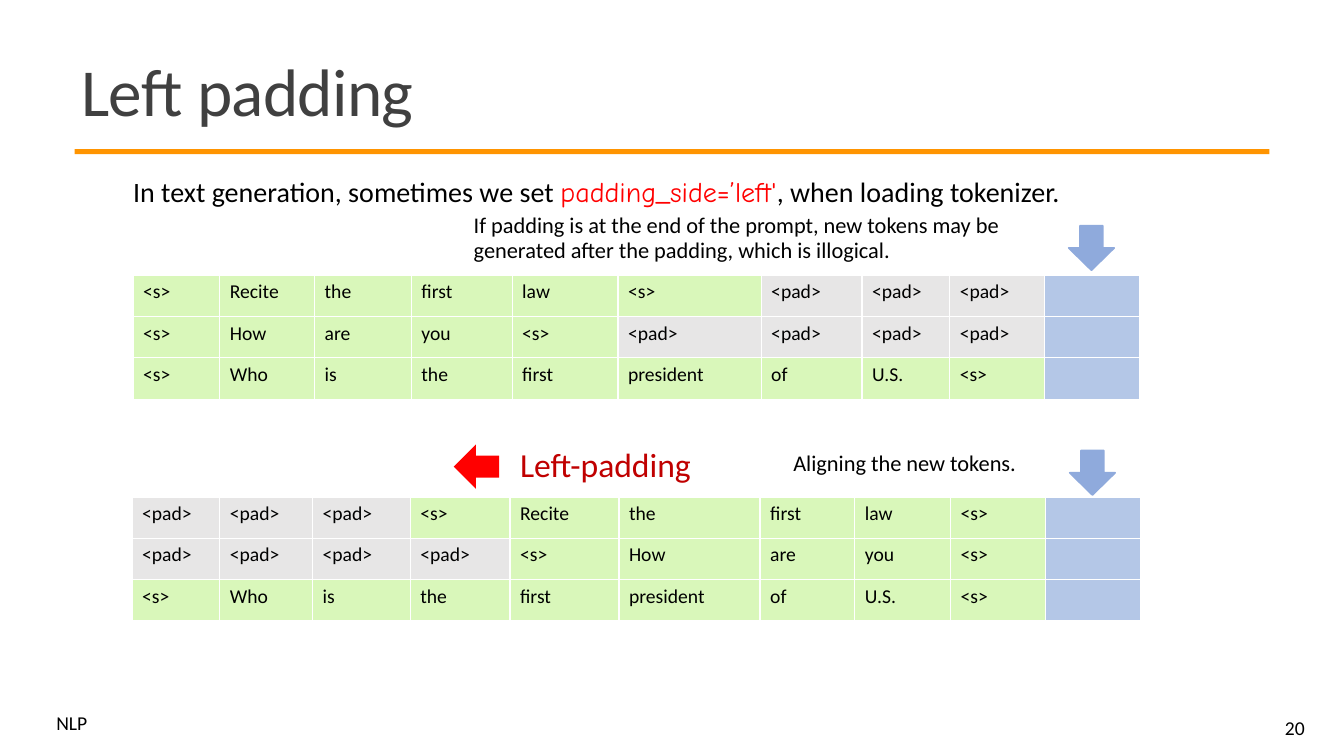
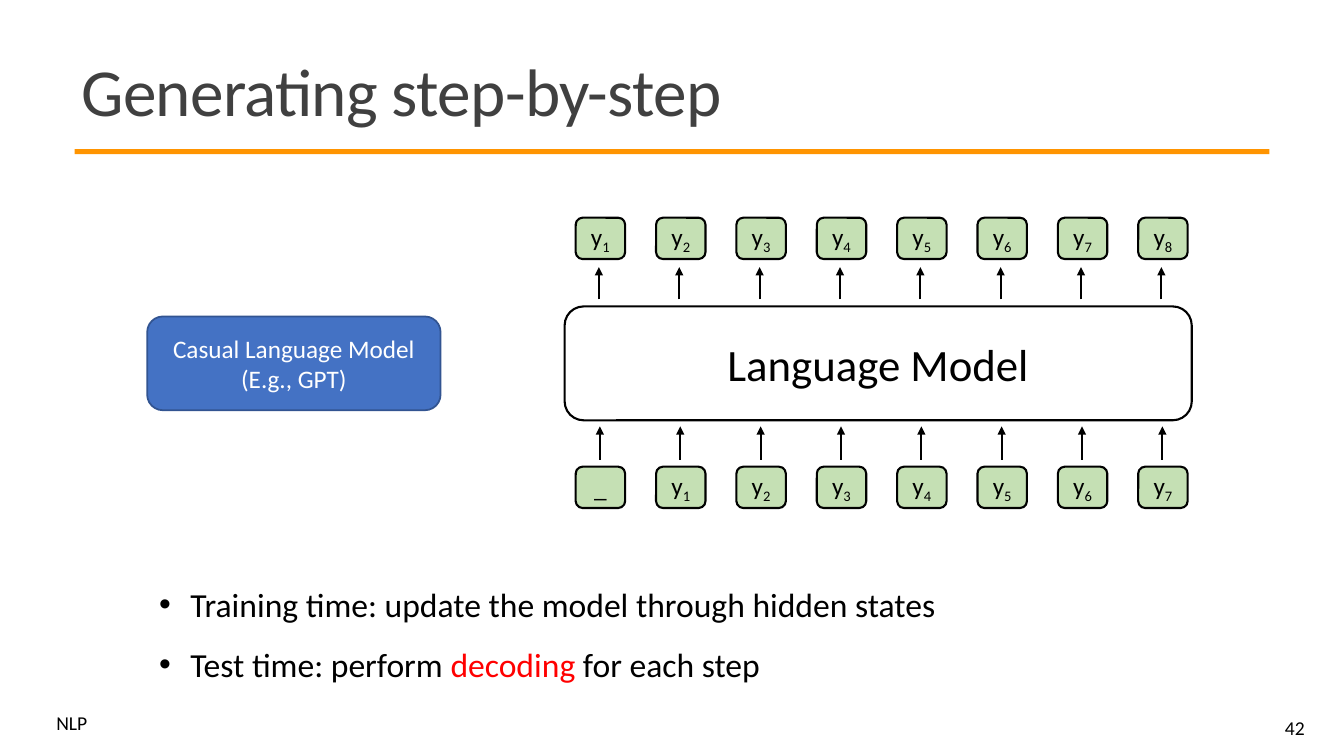
from lxml.etree import SubElement as Sub
from pptx import Presentation
from pptx.dml.color import RGBColor as RGB
from pptx.enum.shapes import MSO_CONNECTOR as Link, MSO_SHAPE as Form
from pptx.enum.text import MSO_ANCHOR as Anchor, PP_ALIGN as Align
from pptx.oxml.ns import qn
from pptx.util import Inches, Pt

BLACK = RGB(0x00, 0x00, 0x00)
WHITE = RGB(0xFF, 0xFF, 0xFF)
GREY = RGB(0x40, 0x40, 0x40)
ORANGE = RGB(0xFF, 0x94, 0x00)
RED = RGB(0xFF, 0x00, 0x00)
CRIMSON = RGB(0xC0, 0x00, 0x00)
LIME = RGB(0xD9, 0xF7, 0xBA)
SILVER = RGB(0xE7, 0xE6, 0xE6)
SKY = RGB(0xB4, 0xC7, 0xE7)
STEEL = RGB(0x8F, 0xAA, 0xDC)
BLUE = RGB(0x44, 0x72, 0xC4)
NAVY = RGB(0x32, 0x54, 0x91)
GREEN = RGB(0xC5, 0xE0, 0xB4)
FACE = "Calibri"


def draw(slide, form, box, fill=None, line=None, width=1.25):
    shape = slide.shapes.add_shape(form, *map(Inches, box))
    shape.shadow.inherit = False
    if fill is None:
        shape.fill.background()
    else:
        shape.fill.solid()
        shape.fill.fore_color.rgb = fill
    if line is None:
        shape.line.fill.background()
    else:
        shape.line.color.rgb = line
        shape.line.width = Pt(width)
    return shape


def write(slide, box, text, size, color=BLACK, space=0.9, inset=0.1):
    frame = slide.shapes.add_textbox(*map(Inches, box)).text_frame
    frame.word_wrap = True
    frame.margin_left = frame.margin_right = Inches(inset)
    para = frame.paragraphs[0]
    para.text = text
    para.line_spacing = space
    para.font.name = FACE
    para.font.size = Pt(size)
    para.font.color.rgb = color
    return frame


deck = Presentation()
deck.slide_width = Inches(13.33)
deck.slide_height = Inches(7.5)

slides = []
for title, page in [("Left padding", "20"), ("Generating step-by-step", "42")]:
    slide = deck.slides.add_slide(deck.slide_layouts[6])
    draw(slide, Form.RECTANGLE, (0.74, 1.48, 11.85, 0.05), ORANGE)
    write(slide, (0.46, 7.05, 0.61, 0.29), "NLP", 14, space=0.8)
    head = write(slide, (0.71, 0.39, 11.94, 1.13), title, 48, GREY, 0.85)
    head.vertical_anchor = Anchor.MIDDLE
    head.paragraphs[0].runs[0].font._element.set("spc", "-50")
    foot = write(slide, (11.61, 7.02, 1.43, 0.4), page, 14, space=1.0)
    foot.vertical_anchor = Anchor.MIDDLE
    foot.paragraphs[0].alignment = Align.RIGHT
    slides.append(slide)
pad, step = slides

tables = [
    (1.32, 2.73, [0.86, 0.94, 0.96, 1, 1.05, 1.42, 1, 0.87, 0.94, 0.94], [
        "<s> Recite the first law <s> <pad> <pad> <pad>",
        "<s> How are you <s> <pad> <pad> <pad> <pad>",
        "<s> Who is the first president of U.S. <s>"]),
    (1.31, 4.93, [0.87, 0.92, 0.97, 0.99, 1.08, 1.4, 0.94, 0.95, 0.94, 0.94], [
        "<pad> <pad> <pad> <s> Recite the first law <s>",
        "<pad> <pad> <pad> <pad> <s> How are you <s>",
        "<s> Who is the first president of U.S. <s>"]),
]
for left, top, widths, rows in tables:
    box = map(Inches, (left, top, sum(widths), 0.41 * len(rows)))
    grid = pad.shapes.add_table(len(rows), len(widths), *box).table
    for col, width in zip(grid.columns, widths):
        col.width = Inches(width)
    for row, line in zip(grid.rows, rows):
        row.height = Inches(0.41)
        for cell, word in zip(row.cells, line.split() + [""]):
            cell.text = word
            cell.fill.solid()
            cell.fill.fore_color.rgb = {"<pad>": SILVER, "": SKY}.get(word, LIME)
            font = cell.text_frame.paragraphs[0].font
            font.name = FACE
            font.size = Pt(14)
            font.bold = False
            font.color.rgb = BLACK

draw(pad, Form.LEFT_ARROW, (4.5, 4.41, 0.45, 0.44), RED)
for left, top in [(10.6, 2.24), (10.61, 4.47)]:
    draw(pad, Form.DOWN_ARROW, (left, top, 0.45, 0.44), STEEL, STEEL)

write(pad, (5.06, 4.4, 1.99, 0.47), "Left-padding", 24, CRIMSON)
write(pad, (7.77, 4.44, 3.39, 0.47), "Aligning the new tokens.", 16)
write(pad, (4.6, 2.08, 6.13, 0.59),
      "If padding is at the end of the prompt, new tokens may be "
      "generated after the padding, which is illogical.", 16)
intro = write(pad, (1.32, 1.72, 10.92, 0.74),
              "In text generation, sometimes we set ", 20, inset=0).paragraphs[0]
code = intro.add_run()
code.text = "padding_side=’left'"
code.font.name = "Comic Neue"
code.font.color.rgb = RED
intro.add_run().text = ", when loading tokenizer."

blocks = [
    ((1.46, 3.14, 2.91, 0.93), ["Casual Language Model", "(E.g., GPT)"],
     18, WHITE, BLUE, NAVY, 1.25),
    ((5.6, 3.04, 6.22, 1.13), ["Language Model"], 32, BLACK, None, BLACK, 1.5),
]
cells = []
for i in range(8):
    left = 5.71 + i * 0.797
    for top, sub in [(2.16, i + 1), (4.63, i)]:
        label = f"y{sub}" if sub else "_"
        blocks.append(((left, top, 0.49, 0.41), [label], 18, BLACK, GREEN, BLACK, 1.5))
    for x, start, end in [(left + 0.23, 2.97, 2.65), (left + 0.24, 4.56, 4.23)]:
        arrow = step.shapes.add_connector(
            Link.STRAIGHT, Inches(x), Inches(start), Inches(x), Inches(end))
        arrow.line.color.rgb = BLACK
        arrow.line.width = Pt(1.5)
        Sub(arrow.line._get_or_add_ln(), qn("a:tailEnd"), type="triangle")
        Sub(arrow._element.spPr, qn("a:effectLst"))

for box, lines, size, color, fill, edge, width in blocks:
    frame = draw(step, Form.ROUNDED_RECTANGLE, box, fill, edge, width).text_frame
    frame.vertical_anchor = Anchor.MIDDLE
    for i, line in enumerate(lines):
        para = frame.add_paragraph() if i else frame.paragraphs[0]
        para.alignment = Align.CENTER
        para.font.name = FACE
        para.font.size = Pt(size)
        para.font.color.rgb = color
        if line[0] == "y":
            para.add_run().text = "y"
            low = para.add_run()
            low.text = line[1:]
            low.font._element.set("baseline", "-25000")
        else:
            para.text = line

notes = [
    [("Training time: update the model through hidden states", BLACK)],
    [("Test time: perform ", BLACK), ("decoding", RED), (" for each step", BLACK)],
]
frame = step.shapes.add_textbox(*map(Inches, (1.48, 5.54, 10.64, 1.25))).text_frame
frame.word_wrap = True
for i, parts in enumerate(notes):
    para = frame.add_paragraph() if i else frame.paragraphs[0]
    para.alignment = Align.JUSTIFY
    para.line_spacing = 1.5
    props = para._p.get_or_add_pPr()
    props.set("marL", str(Inches(0.31)))
    props.set("indent", str(-Inches(0.31)))
    Sub(props, qn("a:buFont"), typeface="Arial")
    Sub(props, qn("a:buChar"), char="•")
    para.font.name = FACE
    para.font.size = Pt(24)
    for text, color in parts:
        run = para.add_run()
        run.text = text
        run.font.color.rgb = color

deck.save("out.pptx")
